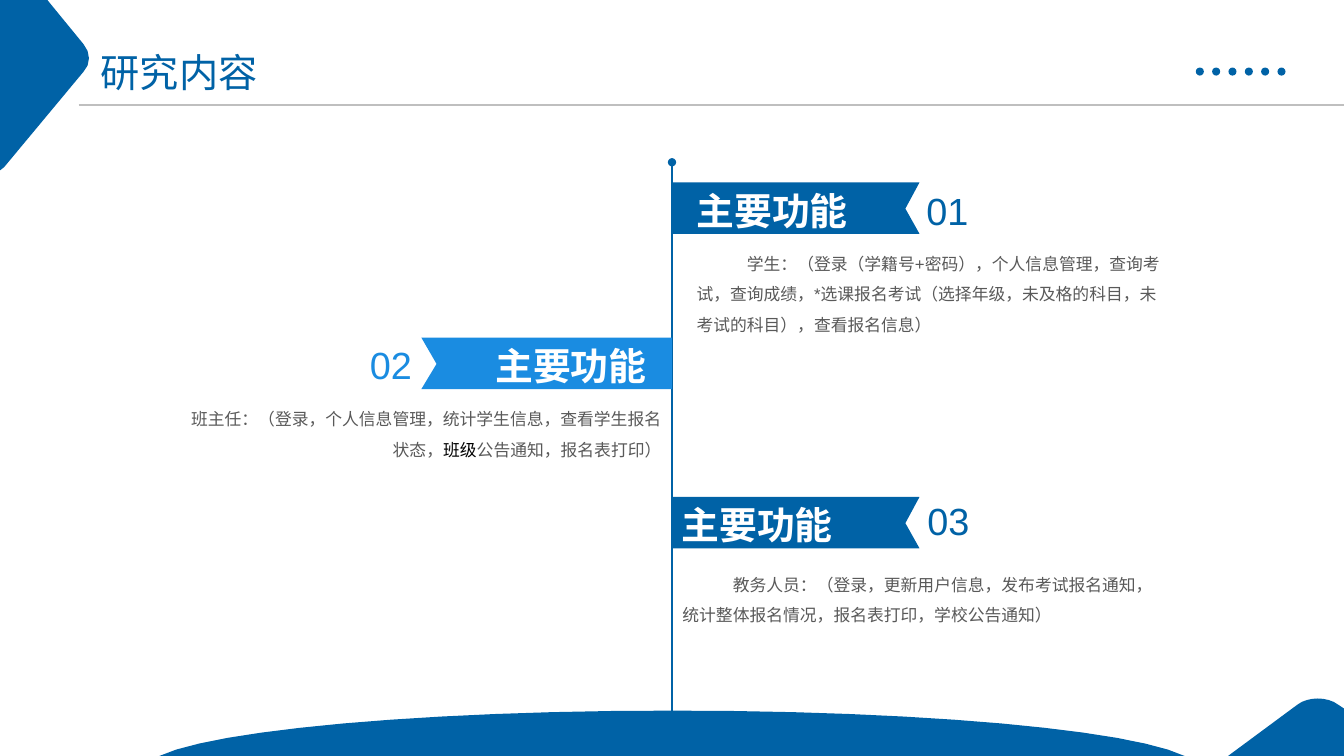
import pptx
import pptx.dml.color
import pptx.enum.shapes
import pptx.enum.text
import pptx.oxml
import pptx.oxml.ns
import pptx.util

Inches = pptx.util.Inches
RGB = pptx.dml.color.RGBColor
ALIGN = pptx.enum.text.PP_ALIGN
NAVY = RGB(0x00, 0x62, 0xA6)
SKY = RGB(0x1A, 0x8C, 0xE1)
RULE = RGB(0xBF, 0xBF, 0xBF)
GRAY = RGB(0x59, 0x59, 0x59)
BLACK = RGB(0, 0, 0)
WHITE = RGB(0xFF, 0xFF, 0xFF)
WIDE = 13.33
MID = WIDE / 2

deck = pptx.Presentation()
deck.slide_width, deck.slide_height = Inches(WIDE), Inches(7.5)
slide = deck.slides.add_slide(deck.slide_layouts[5])
shapes = slide.shapes


def outline(color, *steps):
    """Fill a closed outline; a step is a point or three Bezier points."""
    points = []
    for step in steps:
        if len(step) == 2:
            points.append(step)
            continue
        start = points[-1]
        count = 12 if abs(step[4] - start[0]) > 1 else 4
        for n in range(1, count + 1):
            t = n / count
            points.append(tuple(
                (1 - t) ** 3 * start[i] + 3 * (1 - t) ** 2 * t * step[i]
                + 3 * (1 - t) * t ** 2 * step[i + 2] + t ** 3 * step[i + 4]
                for i in (0, 1)))
    points = [(Inches(x), Inches(y)) for x, y in points]
    pen = shapes.build_freeform(*points[0])
    pen.add_line_segments(points[1:], close=True)
    form = pen.convert_to_shape()
    form.fill.solid()
    form.fill.fore_color.rgb = color
    form.line.fill.background()
    form.shadow.inherit = False


def write(box, text, size, color, bold=False, align=ALIGN.LEFT):
    """Fill a text shape with one paragraph and return the paragraph."""
    frame = box.text_frame
    frame.word_wrap = True
    frame.vertical_anchor = pptx.enum.text.MSO_ANCHOR.TOP
    para = frame.paragraphs[0]
    para.text = text
    para.alignment = align
    para.font.name = "Arial"
    para.font.size = pptx.util.Pt(size)
    para.font.bold = bold
    para.font.color.rgb = color
    return para


# Corner shapes
outline(NAVY, (0.47, 0), (0, 0), (0, 1.69), (0.04, 1.66), (0.83, 0.71),
        (0.9, 0.64, 0.9, 0.52, 0.83, 0.44))
outline(NAVY, (13.07, 6.93), (13.14, 6.93, 13.22, 6.95, 13.27, 6.99),
        (13.33, 7.03), (13.33, 7.5), (12.18, 7.5), (12.87, 6.99),
        (12.92, 6.95, 13, 6.93, 13.07, 6.93))

# Row of dots
for n in range(6):
    dot = shapes.add_shape(pptx.enum.shapes.MSO_SHAPE.OVAL,
                           Inches(11.86 + 0.81 / 5 * n), Inches(0.67),
                           Inches(0.08), Inches(0.08))
    dot.fill.solid()
    dot.fill.fore_color.rgb = NAVY
    dot.line.fill.background()
    dot.shadow.inherit = False

# Title
title = shapes.title
title.left, title.top = Inches(0.9), Inches(0.43)
title.width, title.height = Inches(3.36), Inches(0.57)
write(title, "研究内容", 28, NAVY)

# Header rule and timeline
for x1, y1, x2, y2, color in [(0.78, 1.04, WIDE, 1.04, RULE),
                              (MID, 1.61, MID, 7.5, NAVY)]:
    line = shapes.add_connector(pptx.enum.shapes.MSO_CONNECTOR.STRAIGHT,
                                Inches(x1), Inches(y1), Inches(x2), Inches(y2))
    line.line.color.rgb = color
    line.line.width = pptx.util.Pt(1)
    props = line._element.spPr
    props.append(pptx.oxml.parse_xml(
        "<a:effectLst %s/>" % pptx.oxml.ns.nsdecls("a")))
    if color == NAVY:
        props.find(pptx.oxml.ns.qn("a:ln")).append(pptx.oxml.parse_xml(
            '<a:headEnd type="oval" %s/>' % pptx.oxml.ns.nsdecls("a")))

# Ribbons: number, colour, side, top, tip, then boxes for label, number, body
items = [
    ("01", NAVY, ALIGN.LEFT, 1.81, 9.12, (6.81, 1.81, 2.11, 0.55),
     (9.09, 1.81), (6.81, 2.37, 4.81, 0.8),
     ["学生：（登录（学籍号+密码），个人信息管理，查询考试，查询成绩，"
      "*选课报名考试（选择年级，未及格的科目，未考试的科目），查看报名信息）"]),
    ("03", NAVY, ALIGN.LEFT, 4.93, 9.12, (6.66, 4.93, 2.11, 0.55),
     (9.1, 4.89), (6.67, 5.55, 4.81, 0.86),
     ["教务人员：（登录，更新用户信息，发布考试报名通知，"
      "统计整体报名情况，报名表打印，学校公告通知）"]),
    ("02", SKY, ALIGN.RIGHT, 3.35, 4.18, (4.5, 3.35, 2.01, 0.55),
     (3.57, 3.34), (1.18, 3.91, 5.48, 0.8),
     ["班主任：（登录，个人信息管理，统计学生信息，查看学生报名状态，",
      "班级", "公告通知，报名表打印）"]),
]
for num, color, side, top, tip, label, spot, body, parts in items:
    notch = tip + (0.15 if side == ALIGN.RIGHT else -0.14)
    outline(color, (MID, top), (tip, top), (notch, top + 0.26),
            (tip, top + 0.51), (MID, top + 0.51))
    box = shapes.add_textbox(*map(Inches, label))
    write(box, "主要功能", 27, WHITE, True, side)
    box = shapes.add_textbox(*map(Inches, (*spot, 0.64, 0.55)))
    write(box, num, 27, color)
    box = shapes.add_textbox(*map(Inches, body))
    para = write(box, parts[0], 12, GRAY, align=side)
    para.line_spacing = 1.5
    para._p.get_or_add_pPr().set("indent", str(Inches(0.5)))
    for part in parts[1:]:
        run = para.add_run()
        run.text = part
        if part == "班级":
            run.font.color.rgb = BLACK

# Ground arc
outline(NAVY, (1.58, 7.5), (2.13, 7.24, 4.2, 7.05, 6.67, 7.05),
        (9.14, 7.05, 11.21, 7.24, 11.75, 7.5))

deck.save("out.pptx")
